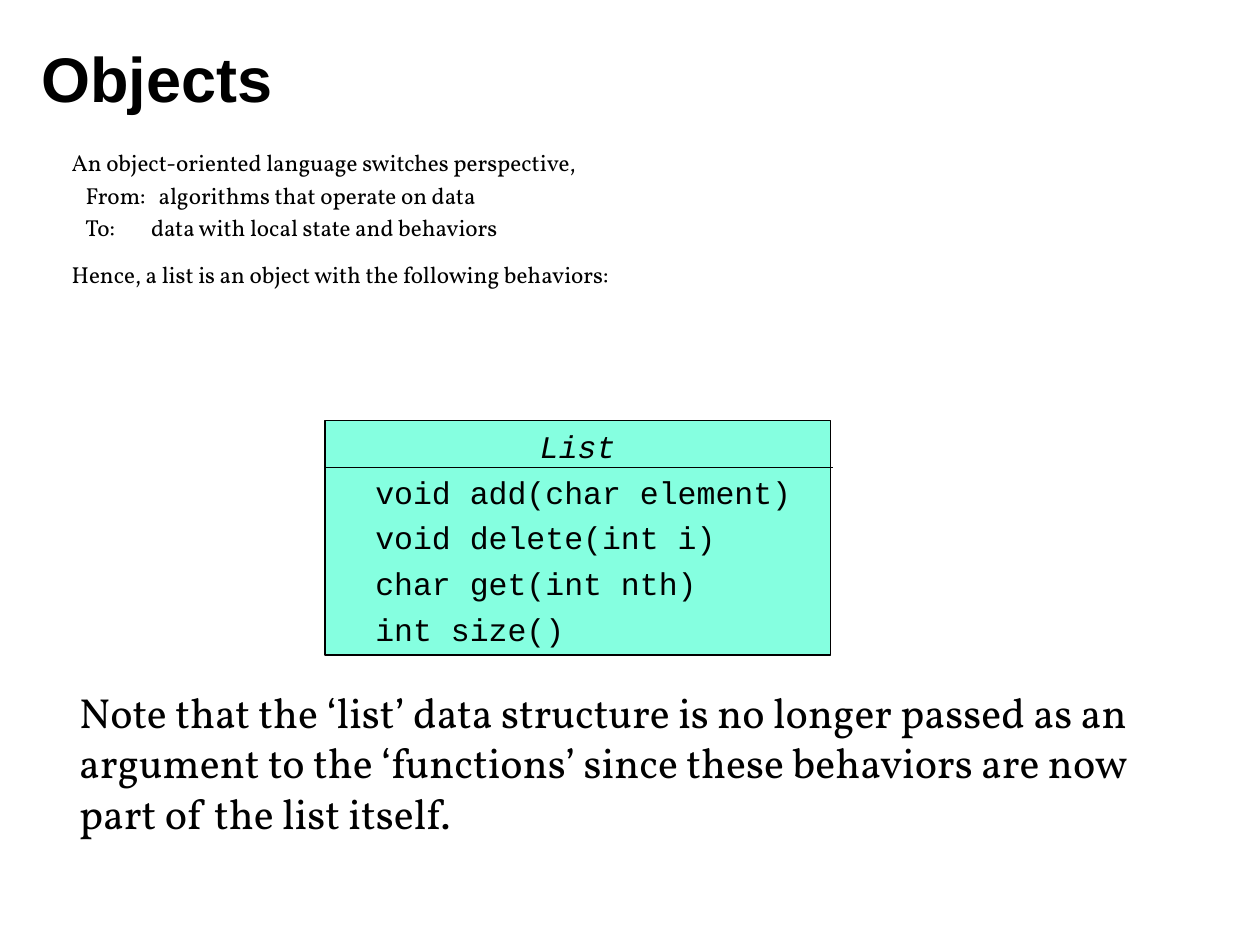
from pptx import Presentation
from pptx.dml.color import RGBColor
from pptx.enum.shapes import MSO_CONNECTOR as Conn, MSO_SHAPE as Shape
from pptx.enum.text import MSO_ANCHOR as Anchor, PP_ALIGN as Align
from pptx.oxml.ns import qn
from pptx.util import Inches, Pt
from lxml.etree import SubElement

BLACK = RGBColor(0x00, 0x00, 0x00)
MINT = RGBColor(0x85, 0xFF, 0xE0)


def write(frame, text, face, size):
    frame.word_wrap = True
    frame.text = text
    for para in frame.paragraphs:
        para.alignment = Align.LEFT
        for run in para.runs:
            run.font.name = face
            run.font.size = Pt(size)
            run.font.color.rgb = BLACK
    return frame.paragraphs


def add_text(left, top, width, height, text, face, size):
    box = slide.shapes.add_textbox(
        Inches(left), Inches(top), Inches(width), Inches(height))
    write(box.text_frame, text, face, size)
    return box.text_frame


deck = Presentation()
deck.slide_width = Inches(10)
deck.slide_height = Inches(7.5)
slide = deck.slides.add_slide(deck.slide_layouts[6])

title = add_text(0.23, 0.15, 8.03, 0.93, "Objects", "Arial", 36)
title.vertical_anchor = Anchor.MIDDLE
title.paragraphs[0].runs[0].font.bold = True

intro = add_text(0.47, 1.17, 9.21, 2.13, "\n".join([
    "An object-oriented language switches perspective,",
    "From:\talgorithms that operate on data",
    "To:\tdata with local state and behaviors",
    "Hence, a list is an object with the following behaviors:",
]), "Vollkorn", 13.2)
for para, gap in zip(intro.paragraphs, (0, 6, 6, 14)):
    para.line_spacing = 0.8
    para.space_before = Pt(gap)
for para, left in zip(intro.paragraphs[1:3], (0.69, 0.63)):
    props = para._p.get_or_add_pPr()
    props.set("marL", str(Inches(left)))
    props.set("indent", str(Inches(0.11) - Inches(left)))

group = slide.shapes.add_group_shape()
card = group.shapes.add_shape(
    Shape.RECTANGLE, Inches(2.58), Inches(3.34), Inches(4.01), Inches(1.86))
card.shadow.inherit = False
card.fill.solid()
card.fill.fore_color.rgb = MINT
card.line.color.rgb = BLACK
card.line.width = Pt(0.75)
card.text_frame.vertical_anchor = Anchor.TOP
head, *calls = write(card.text_frame, "\n".join([
    "List",
    "void add(char element)",
    "void delete(int i)",
    "char get(int nth)",
    "int size()",
]), "Courier New", 18)
head.alignment = Align.CENTER
head.runs[0].font.italic = True
for para in calls:
    para.space_before = Pt(4.5)
    para._p.get_or_add_pPr().set("marL", str(Inches(0.3)))

rule = group.shapes.add_connector(
    Conn.STRAIGHT, Inches(2.59), Inches(3.71), Inches(6.61), Inches(3.71))
rule.line.color.rgb = BLACK
rule.line.width = Pt(0.75)
SubElement(rule._element.spPr, qn("a:effectLst"))

add_text(0.53, 5.4, 8.97, 1.23,
         "Note that the ‘list’ data structure is no longer passed as an "
         "argument to the ‘functions’ since these behaviors are now "
         "part of the list itself.", "Vollkorn", 24)

deck.save("out.pptx")
